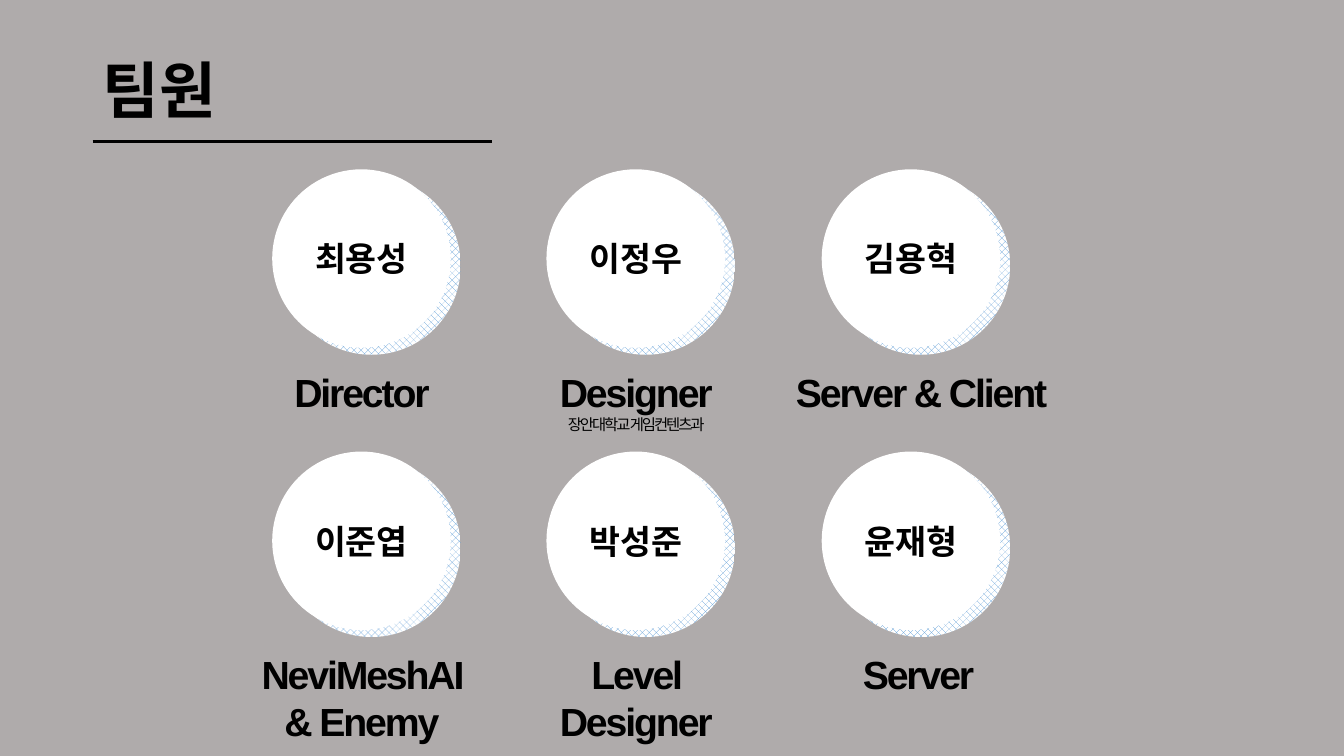
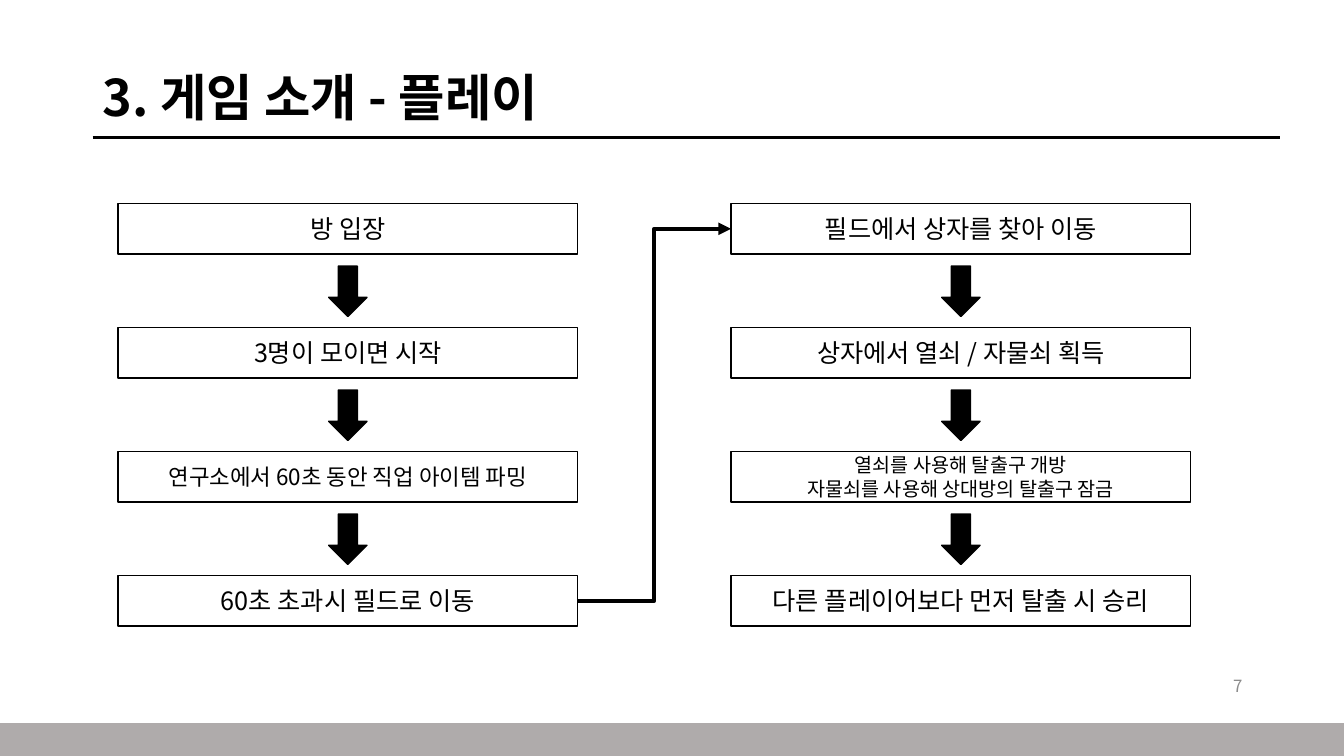
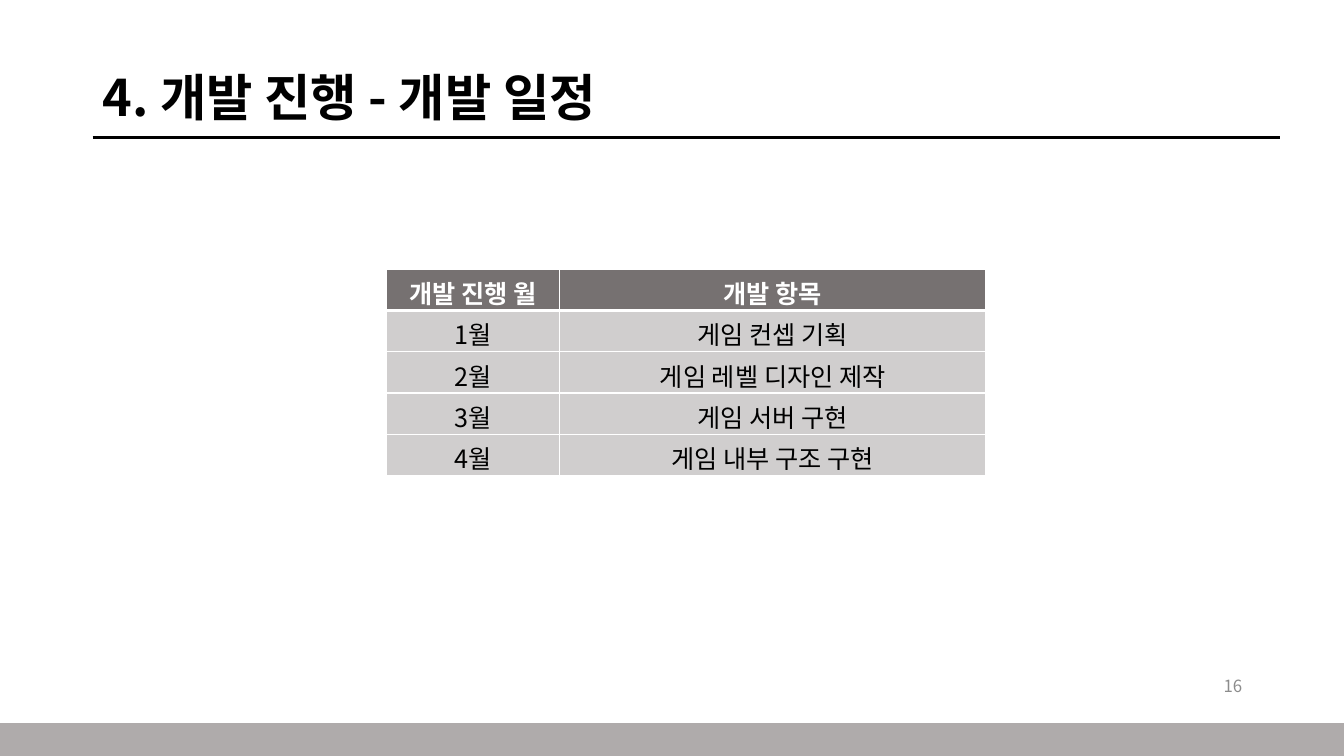
from lxml import etree
from pptx import Presentation
from pptx.dml.color import RGBColor
from pptx.enum.dml import MSO_PATTERN
from pptx.enum.shapes import MSO_CONNECTOR, MSO_SHAPE
from pptx.enum.text import MSO_ANCHOR, MSO_AUTO_SIZE, PP_ALIGN
from pptx.oxml.ns import qn
from pptx.util import Pt

RECT, OVAL, DOWN = MSO_SHAPE.RECTANGLE, MSO_SHAPE.OVAL, MSO_SHAPE.DOWN_ARROW
LINE, ELBOW = MSO_CONNECTOR.STRAIGHT, MSO_CONNECTOR.ELBOW
LEFT, MID, RIGHT = PP_ALIGN.LEFT, PP_ALIGN.CENTER, PP_ALIGN.RIGHT
TOP, CENTER = MSO_ANCHOR.TOP, MSO_ANCHOR.MIDDLE
GROW, FIXED = MSO_AUTO_SIZE.SHAPE_TO_FIT_TEXT, MSO_AUTO_SIZE.NONE
HATCH = MSO_PATTERN.PERCENT_50

KOREAN, LATIN = "Noto Sans CJK KR", "Arial"
BLACK, WHITE, GRAY, BLUE = "000000", "FFFFFF", "AFABAB", "5B9BD5"
HEAD, BODY, FAINT = "767171", "D0CECE", "8C8C8C"
WIDE, HIGH = 1333, 750
EDGE = 92

TEAM = [
    ("최용성", "Director", 238, 242),
    ("이정우", "Designer", 510, 242),
    ("김용혁", "Server & Client", 772, 284),
    ("이준엽", "NeviMeshAI & Enemy", 238, 242),
    ("박성준", "Level Designer", 500, 262),
    ("윤재형", "Server", 769, 284),
]
SCHOOL = {"이정우": "장안대학교 게임컨텐츠과"}

FLOW = [
    [
        (["방 입장"], 18),
        (["3명이 모이면 시작"], 18),
        (["연구소에서 60초 동안 직업 아이템 파밍"], 16),
        (["60초 초과시 필드로 이동"], 18),
    ],
    [
        (["필드에서 상자를 찾아 이동"], 18),
        (["상자에서 열쇠 / 자물쇠 획득"], 18),
        (["열쇠를 사용해 탈출구 개방", "자물쇠를 사용해 상대방의 탈출구 잠금"], 14),
        (["다른 플레이어보다 먼저 탈출 시 승리"], 18),
    ],
]

PLAN = [
    ("개발 진행 월", "개발 항목"),
    ("1월", "게임 컨셉 기획"),
    ("2월", "게임 레벨 디자인 제작"),
    ("3월", "게임 서버 구현"),
    ("4월", "게임 내부 구조 구현"),
]


def px(n):
    return n * 9144


def color(code):
    return RGBColor.from_string(code)


def write(frame, text, size=18, font=KOREAN, hue=BLACK, bold=False,
          align=MID, anchor=CENTER, lead=None, track=0, more=False):
    frame.word_wrap = True
    frame.vertical_anchor = anchor
    par = frame.add_paragraph() if more else frame.paragraphs[0]
    par.alignment = align
    if lead:
        par.line_spacing = lead
    run = par.add_run()
    run.text = text
    run.font.size = Pt(size)
    run.font.bold = bold
    run.font.name = font
    run.font.color.rgb = color(hue)
    props = run._r.get_or_add_rPr()
    etree.SubElement(props, qn("a:ea")).set("typeface", KOREAN)
    if track:
        props.set("spc", str(track))


def shape(slide, kind, x, y, w, h, fill, edge=None):
    item = slide.shapes.add_shape(kind, px(x), px(y), px(w), px(h))
    item.shadow.inherit = False
    item.fill.solid()
    item.fill.fore_color.rgb = color(fill)
    if edge:
        item.line.color.rgb = color(edge)
        item.line.width = Pt(1)
    else:
        item.line.fill.background()
    return item


def label(slide, x, y, w, h):
    box = slide.shapes.add_textbox(px(x), px(y), px(w), px(h))
    return box.text_frame


def wire(slide, kind, x1, y1, x2, y2, width):
    item = slide.shapes.add_connector(kind, px(x1), px(y1), px(x2), px(y2))
    item.line.color.rgb = color(BLACK)
    item.line.width = Pt(width)
    etree.SubElement(item._element.spPr, qn("a:effectLst"))
    return item


def page(deck, title, back, y, h, size):
    slide = deck.slides.add_slide(deck.slide_layouts[5])
    slide.background.fill.solid()
    slide.background.fill.fore_color.rgb = color(back)
    head = slide.shapes.title
    head.left, head.top, head.width, head.height = px(EDGE), px(y), px(1150), px(h)
    head.text_frame.auto_size = FIXED
    write(head.text_frame, title, size=size, bold=True, align=LEFT, lead=0.9)
    return slide


def plain(deck, title, number):
    slide = page(deck, title, WHITE, 63, 72, 36)
    wire(slide, LINE, EDGE, 136, 1270, 136, 2.25)
    write(label(slide, 942, 660, 300, 40), number, size=12, hue=FAINT, align=RIGHT)
    shape(slide, RECT, 0, 718, WIDE, HIGH - 718, GRAY, GRAY)
    return slide


def member(slide, spot, name, role, left, width):
    row, col = divmod(spot, 3)
    x, y = 270 + 545 * col // 2, 168 + 280 * row
    shade = shape(slide, OVAL, x + 10, y + 7, 177, 177, WHITE)
    shade.fill.patterned()
    shade.fill.pattern = HATCH
    shade.fill.fore_color.rgb = color(BLUE)
    shade.fill.back_color.rgb = color(WHITE)
    disc = shape(slide, OVAL, x, y, 177, 177, WHITE)
    write(disc.text_frame, name, size=24, bold=True)
    frame = label(slide, left, y + 192, width, 57)
    frame.auto_size = GROW
    write(frame, role, size=28, font=LATIN, bold=True, anchor=TOP, track=-150)
    if name in SCHOOL:
        write(frame, SCHOOL[name], size=11, font=LATIN, anchor=TOP, track=-150, more=True)


def team(deck):
    slide = page(deck, "팀원", GRAY, 20, 145, 44)
    wire(slide, LINE, EDGE, 140, 488, 140, 2.25)
    for spot, person in enumerate(TEAM):
        member(slide, spot, *person)


def chain(slide, x, steps):
    boxes = []
    for i, (lines, size) in enumerate(steps):
        y = 202 + 123 * i
        box = shape(slide, RECT, x, y, 456, 50, WHITE, BLACK)
        for j, text in enumerate(lines):
            write(box.text_frame, text, size=size, more=j > 0)
        if i:
            shape(slide, DOWN, x + 209, y - 61, 38, 50, BLACK, BLACK)
        boxes.append(box)
    return boxes


def play(deck):
    slide = plain(deck, "3. 게임 소개 - 플레이", "7")
    first, second = [chain(slide, x, steps) for x, steps in zip((117, 725), FLOW)]
    link = wire(slide, ELBOW, 573, 596, 725, 227, 3)
    link.begin_connect(first[-1], 3)
    link.end_connect(second[0], 1)
    tip = etree.SubElement(link.line._get_or_add_ln(), qn("a:tailEnd"))
    tip.set("type", "triangle")


def border(cell, side, width):
    line = etree.SubElement(cell._tc.get_or_add_tcPr(), qn("a:" + side))
    line.set("w", str(Pt(width)))
    fill = etree.SubElement(line, qn("a:solidFill"))
    etree.SubElement(fill, qn("a:srgbClr")).set("val", WHITE)


def plan(deck):
    slide = plain(deck, "4. 개발 진행 - 개발 일정", "16")
    grid = slide.shapes.add_table(len(PLAN), 2, px(383), px(267), px(595), px(205)).table
    for col, width in zip(grid.columns, (172, 423)):
        col.width = px(width)
    for r, row in enumerate(PLAN):
        grid.rows[r].height = px(41)
        for c, text in enumerate(row):
            cell = grid.cell(r, c)
            top = r == 0
            for side in ("lnL", "lnR", "lnT", "lnB"):
                thick = (top and side == "lnB") or (r == 1 and side == "lnT")
                border(cell, side, 3 if thick else 1)
            cell.fill.solid()
            cell.fill.fore_color.rgb = color(HEAD if top else BODY)
            write(cell.text_frame, text, hue=WHITE if top else BLACK, bold=top)
            cell.vertical_anchor = CENTER


def main():
    deck = Presentation()
    deck.slide_width, deck.slide_height = px(WIDE), px(HIGH)
    team(deck)
    play(deck)
    plan(deck)
    deck.save("out.pptx")


if __name__ == "__main__":
    main()
